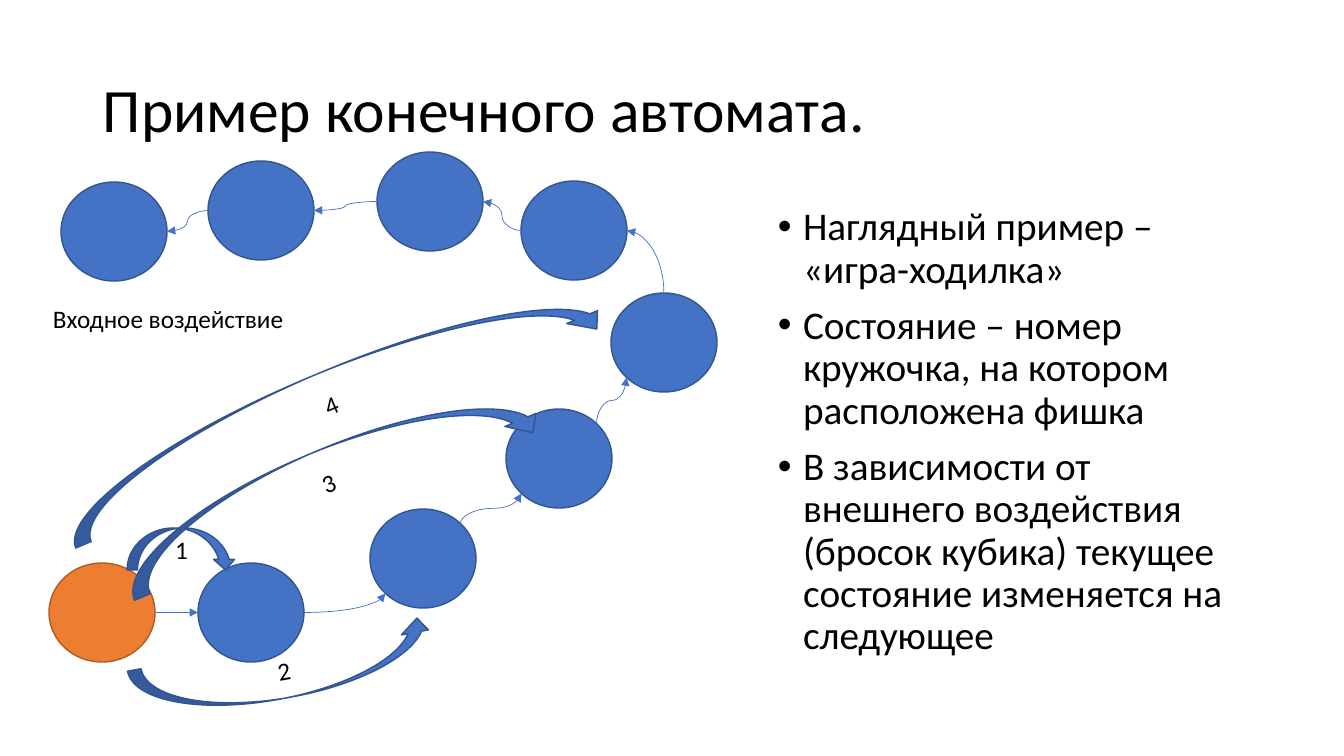
import math
from itertools import pairwise
from lxml import etree
from pptx import Presentation
from pptx import util as u
from pptx.dml.color import RGBColor
from pptx.enum import shapes, text
from pptx.oxml.ns import qn

PX = 914400 / 100.8
WIDE, HIGH = 106, 99
BLUE, EDGE = "4472C4", "325491"
ORANGE, RUST = "ED7D31", "AF5C24"
RIGHT, LOW_LEFT, TOP, LEFT, TOP_RIGHT = 0, 135, 270, 180, 315

CIRCLES = [(49, 563), (198, 563), (370, 509), (506, 409), (611, 293),
           (521, 181), (377, 152), (208, 161), (61, 182)]
# Angle at the start, angle at the end, preset number
LINKS = [(RIGHT, LEFT, 3), (RIGHT, LOW_LEFT, 2), (TOP_RIGHT, LOW_LEFT, 3),
         (TOP_RIGHT, LOW_LEFT, 3), (TOP, RIGHT, 2), (LEFT, RIGHT, 3),
         (LEFT, RIGHT, 3), (LEFT, RIGHT, 3)]
DOWN = shapes.MSO_SHAPE.CURVED_DOWN_ARROW
UP = shapes.MSO_SHAPE.CURVED_UP_ARROW
MOVES = [(DOWN, (127, 528, 109, 42), 0), (UP, (130, 643, 308, 55), -10.4),
         (DOWN, (104, 449, 449, 67), -22.8), (DOWN, (40, 371, 582, 67), -22.8)]
POINTS = [
    "Наглядный пример – «игра-ходилка»",
    "Состояние – номер кружочка, на котором расположена фишка",
    "В зависимости от внешнего воздействия (бросок кубика) "
    "текущее состояние изменяется на следующее",
]


def px(*nums):
    return [u.Emu(round(n * PX)) for n in nums]


def color(code):
    return RGBColor.from_string(code)


def write(shape, lines, size=18, anchor="TOP", align="LEFT", space=1.0,
          before=0, bullet=False):
    frame = shape.text_frame
    frame.word_wrap = True
    frame.vertical_anchor = getattr(text.MSO_ANCHOR, anchor)
    for i, line in enumerate(lines):
        para = frame.add_paragraph() if i else frame.paragraphs[0]
        para.alignment = getattr(text.PP_ALIGN, align)
        para.line_spacing = space
        if i:
            para.space_before = u.Pt(before)
        if bullet:
            props = para._p.get_or_add_pPr()
            props.set("marL", "228600")
            props.set("indent", "-228600")
            etree.SubElement(props, qn("a:buFont")).set("typeface", "Arial")
            etree.SubElement(props, qn("a:buChar")).set("char", "•")
        run = para.add_run()
        run.text = line
        run.font.name = "Calibri"
        run.font.size = u.Pt(size)
        run.font.color.rgb = color("000000")


def add_text(slide, box, lines, **style):
    write(slide.shapes.add_textbox(*px(*box)), lines, **style)


def add_form(slide, kind, box, fill=BLUE, edge=EDGE):
    form = slide.shapes.add_shape(kind, *px(*box))
    form.shadow.inherit = False
    form.fill.solid()
    form.fill.fore_color.rgb = color(fill)
    form.line.color.rgb = color(edge)
    form.line.width = u.Pt(1)
    return form


def rim(circle, angle):
    """Point on the edge of a circle, clockwise from the right."""
    turn = math.radians(angle)
    return (circle[0] + WIDE / 2 * (1 + math.cos(turn)),
            circle[1] + HIGH / 2 * (1 + math.sin(turn)))


def add_link(slide, start, end, preset, upright):
    """Curved arrow; an upright one leaves its start vertically."""
    if upright:
        mid_x, mid_y = (start[0] + end[0]) / 2, (start[1] + end[1]) / 2
        half_x, half_y = (end[1] - start[1]) / 2, (start[0] - end[0]) / 2
        start = mid_x - half_x, mid_y - half_y
        end = mid_x + half_x, mid_y + half_y
    link = slide.shapes.add_connector(shapes.MSO_CONNECTOR.CURVE,
                                      *px(*start, *end))
    link.line.color.rgb = color(BLUE)
    link.line.width = u.Pt(0.5)
    props = link._element.spPr
    props.find(qn("a:prstGeom")).set("prst", f"curvedConnector{preset}")
    if upright:
        props.find(qn("a:xfrm")).set("rot", str(90 * 60000))
    tail = etree.SubElement(link.line._get_or_add_ln(), qn("a:tailEnd"))
    tail.set("type", "triangle")
    etree.SubElement(props, qn("a:effectLst"))


def add_board(slide, left, top):
    spots = [(left + x, top + y) for x, y in CIRCLES]
    for i, spot in enumerate(spots):
        paint = (BLUE, EDGE) if i else (ORANGE, RUST)
        add_form(slide, shapes.MSO_SHAPE.OVAL, (*spot, WIDE, HIGH), *paint)
    for (a, b), (out, into, preset) in zip(pairwise(spots), LINKS):
        add_link(slide, rim(a, out), rim(b, into), preset,
                 out in (TOP, TOP_RIGHT))
    add_text(slide, (left + 43, top + 298, 266, 40), ["Входное воздействие"])
    for num, (kind, (x, y, wide, high), turn) in enumerate(MOVES, 1):
        move = add_form(slide, kind, (left + x, top + y, wide, high))
        move.rotation = turn
        write(move, [str(num)], anchor="MIDDLE", align="CENTER")


def main():
    deck = Presentation()
    deck.slide_width, deck.slide_height = px(1344, 756)
    slide = deck.slides.add_slide(deck.slide_layouts[6])
    add_text(slide, (93, 40, 1159, 146), ["Пример конечного автомата."],
             size=44, anchor="MIDDLE", space=0.9)
    add_text(slide, (768, 202, 484, 480), POINTS, size=28, space=0.9,
             before=10, bullet=True)
    add_board(slide, 0, 0)
    deck.save("out.pptx")


if __name__ == "__main__":
    main()
